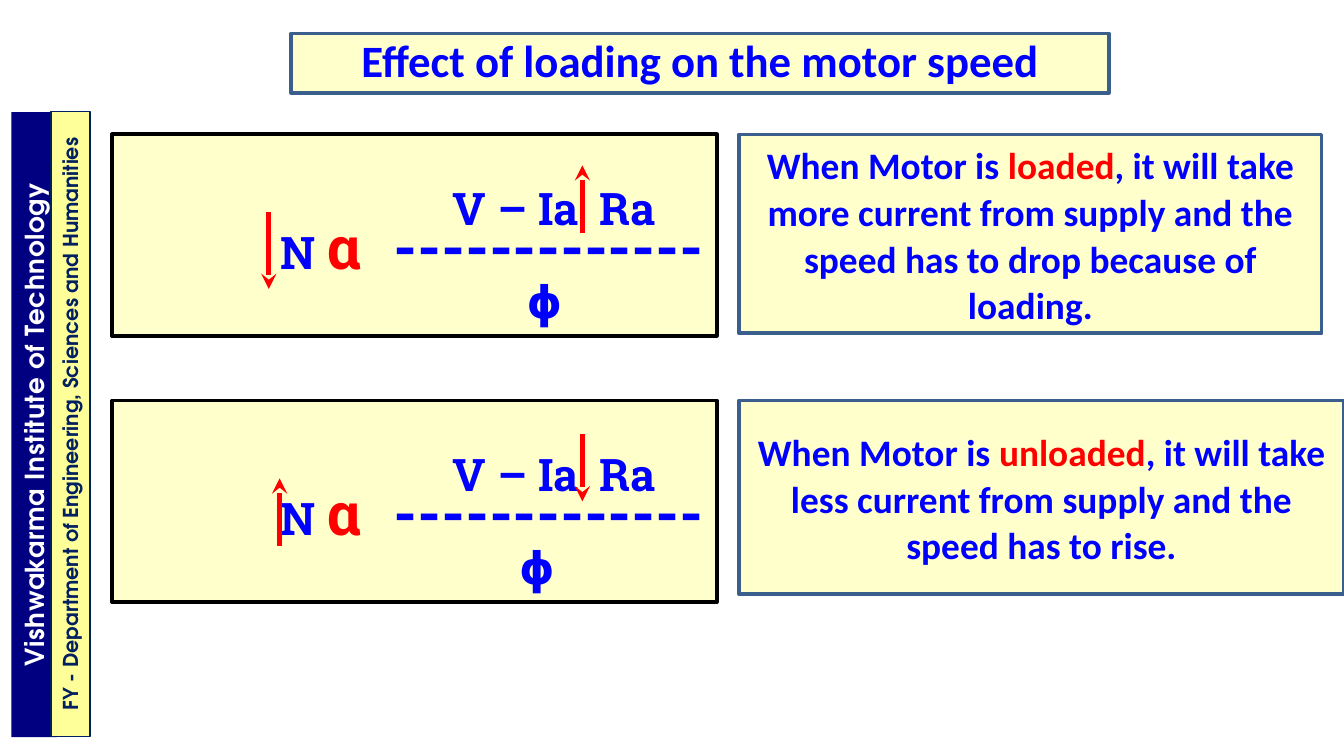
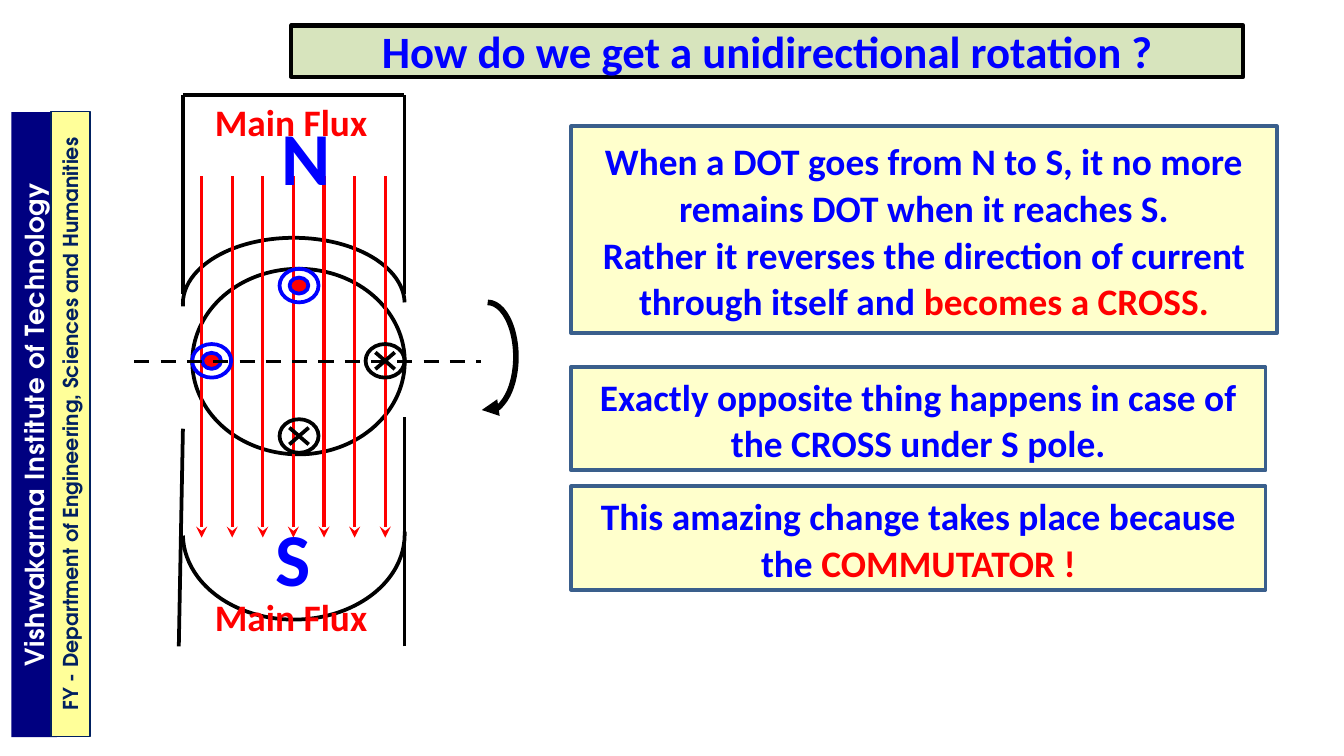
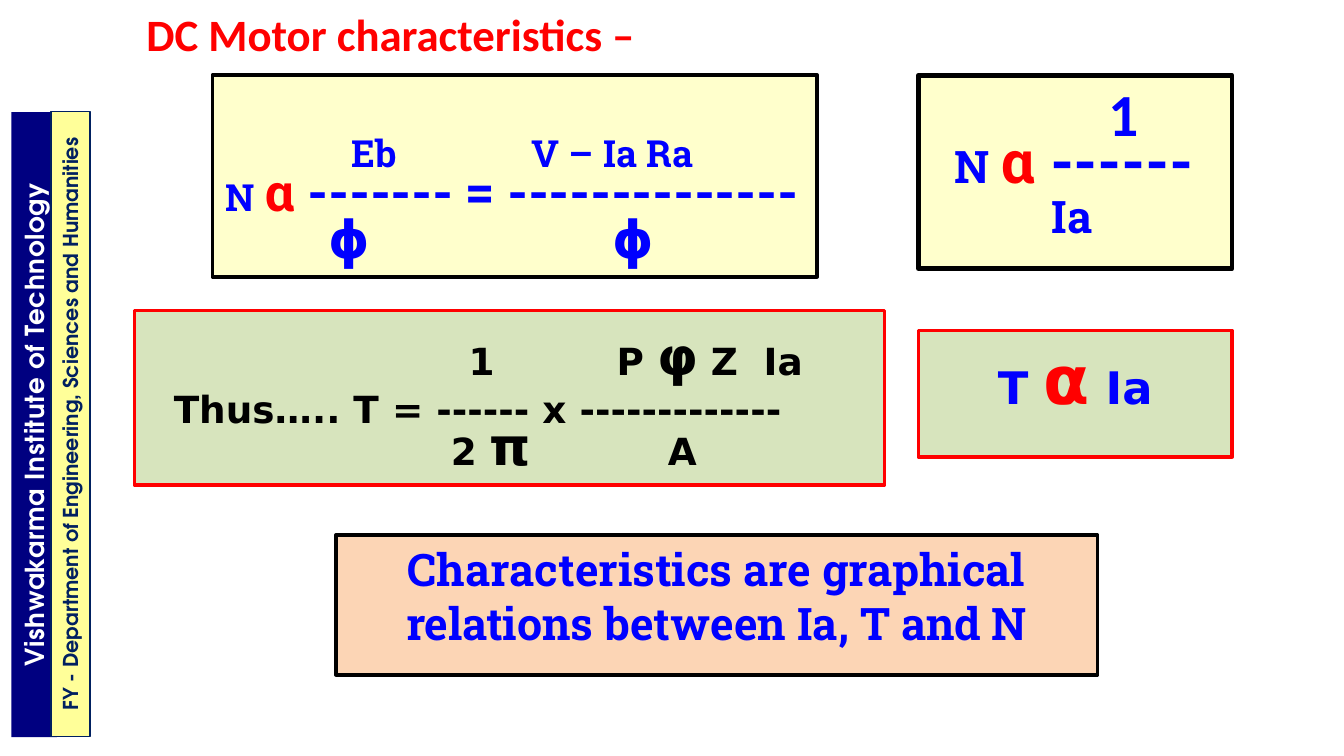
"""Build three slides on DC motor speed, commutation and characteristics."""
from lxml import etree
from pptx import Presentation
from pptx.dml.color import RGBColor
from pptx.enum import dml, shapes, text
from pptx.oxml import ns
from pptx.util import Pt

COLORS = {
    "blue": "0000FF", "red": "FF0000", "black": "000000", "white": "FFFFFF",
    "cream": "FFFFCC", "green": "D7E4BD", "peach": "FCD5B5", "steel": "3A5F8C",
    "navy": "000080", "ink": "002060", "yellow": "FFFF99",
}
SANS, SLAB, SYMBOL, BAND = "Calibri", "Roboto Slab", "DejaVu Sans", "TeX Gyre Adventor"
LEFT, CENTER = text.PP_ALIGN.LEFT, text.PP_ALIGN.CENTER
TOP, MIDDLE = text.MSO_ANCHOR.TOP, text.MSO_ANCHOR.MIDDLE
KIND = shapes.MSO_SHAPE


def run(words, size=20, color="blue", font=SANS):
    return words, size, color, font


def line(*runs, tabs=()):
    return runs, tabs


BANDS = [
    dict(words="Vishwakarma Institute of Technology", size=14, color="white",
         box=(6.1, 60.1, 24.5, 334.8), fill="navy", border=None, tracking=35),
    dict(words="FY - Department of Engineering, Sciences and Humanities", size=11,
         color="ink", box=(27.4, 59.8, 20.9, 334.8), fill="yellow",
         border=("ink", 0.75), tracking=0),
]

LOADING_TITLE = "Effect of loading on the motor speed"
LOADING_CASES = [
    dict(top=72, state="loaded", note_size=(312, 106.6),
         effect=", it will take more current from supply and the speed has to drop "
                "because of loading.",
         flux_tab=215, arrows=[(312, 52.6, 16.6), (144, 41.8, 82.8)]),
    dict(top=214.6, state="unloaded", note_size=(324, 103.7),
         effect=", it will take less current from supply and the speed has to rise.",
         flux_tab=211, arrows=[(312, 18, 54), (149.8, 77.7, 41.7)]),
]

ROTATION_TITLE = "How do we get a unidirectional rotation ?"
ROTATION_NOTES = [
    ((306, 67.7, 378, 110.9), [
        line(run("When a DOT goes from N to S, it no more remains DOT when it reaches S.")),
        line(run("Rather it reverses the direction of current through itself and "),
             run("becomes a CROSS.", color="red"))]),
    ((306, 196.6, 372, 55.4), [
        line(run("Exactly opposite thing happens in case of the CROSS under S pole."))]),
    ((306, 260.6, 372, 55.4), [
        line(run("This amazing change takes place because the "),
             run("COMMUTATOR !", color="red"))]),
]
POLE_EDGES = [
    (98, 51, 216.7, 51), (98, 51, 98, 157.7), (216.7, 51, 216.7, 157.7),
    (216.7, 346.3, 216.7, 223.2), (95.8, 346.3, 98, 229.7),
]
POLE_FACES = [((98, 127.4, 118.8, 70.6), 0), ((98, 240.5, 118.8, 91.4), 180)]
ARMATURE = (103, 144, 113.8, 99.4)
FLUX_COUNT, FLUX_LEFT, FLUX_STEP, FLUX_TOP, FLUX_BOTTOM = 7, 108, 16.4, 94.5, 288
POLE_LETTERS = [("N", (144, 84, 36, 28)), ("S", (139, 298.6, 36, 28))]
FLUX_LABELS = [(108, 49.7, 110, 31.7), (108, 314.6, 104.4, 31.7)]
DOTS = [(160.2, 153), (113.4, 193.3)]
CROSSES = [(160.2, 233.6), (206.3, 193.3)]

CHARACTERISTICS_TITLE = "DC Motor characteristics –"
RELATIONS = [
    dict(box=(113.8, 40.3, 324, 108), fill="cream", border=("black", 2),
         spacing=25, top_inset=28.6, lines=[
             line(run("\tEb\tV – Ia Ra", font=SLAB), tabs=(67.6, 164)),
             line(run("N ", font=SLAB), run("α", 28, "red", SLAB),
                  run(" ------- = --------------", 28, font=SLAB)),
             line(run("\tϕ\tϕ", 28, font=SYMBOL), tabs=(55, 207.4))]),
    dict(box=(72, 166.3, 401.8, 93.6), fill="green", border=("red", 2),
         spacing=24, top_inset=16.6, lines=[
             line(run("\t1\tP ", 20, "black", SYMBOL), run("φ", 28, "black", SYMBOL),
                  run(" Z\tIa", 20, "black", SYMBOL), tabs=(172, 251.3, 330)),
             line(run("\tThus….. T = ------ x -------------", 20, "black", SYMBOL),
                  tabs=(14,)),
             line(run("\t2 ", 20, "black", SYMBOL), run("π", 28, "black", SYMBOL),
                  run("\tA", 20, "black", SYMBOL), tabs=(162.4, 278.7))]),
    dict(box=(492, 40.3, 168, 103.7), fill="cream", border=("black", 2.5),
         spacing=25, anchor=MIDDLE, lines=[
             line(run("\t1", 32), tabs=(95,)),
             line(run("\tN ", 24, font=SLAB), run("α", 32, "red", SLAB),
                  run(" ------", 32, font=SLAB), tabs=(12,)),
             line(run("\tIa", 24, font=SLAB), tabs=(64.4,))]),
    dict(box=(492, 177.1, 168, 67.7), fill="green", border=("red", 2), align=CENTER,
         lines=[line(run("T ", 24, font=SYMBOL), run("α", 36, "red", SYMBOL),
                     run(" Ia", 24, font=SYMBOL))]),
    dict(box=(180, 286.6, 408, 74.9), fill="peach", border=("black", 2), align=CENTER,
         lines=[line(run("Characteristics are graphical relations between Ia, T and N",
                         24, font=SLAB))]),
]


def rgb(name):
    return RGBColor.from_string(COLORS[name])


def points(values):
    return [Pt(value) for value in values]


def paint(shape, fill=None, border=None):
    if fill:
        shape.fill.solid()
        shape.fill.fore_color.rgb = rgb(fill)
    else:
        shape.fill.background()
    if border:
        shape.line.color.rgb = rgb(border[0])
        shape.line.width = Pt(border[1])
    else:
        shape.line.fill.background()


def write(shape, lines, align=LEFT, anchor=TOP, spacing=None, left_inset=7.2, top_inset=3.6):
    frame = shape.text_frame
    frame.word_wrap = True
    frame.auto_size = text.MSO_AUTO_SIZE.NONE
    frame.vertical_anchor = anchor
    frame.margin_left, frame.margin_right = Pt(left_inset), Pt(7.2)
    frame.margin_top, frame.margin_bottom = Pt(top_inset), Pt(3.6)
    for index, (runs, tabs) in enumerate(lines):
        paragraph = frame.add_paragraph() if index else frame.paragraphs[0]
        paragraph.alignment = align
        if spacing:
            paragraph.line_spacing = Pt(spacing)
        if tabs:
            stops = etree.SubElement(paragraph._p.get_or_add_pPr(), ns.qn("a:tabLst"))
            for stop in tabs:
                etree.SubElement(stops, ns.qn("a:tab"), pos=str(Pt(stop)), algn="l")
        for words, size, color, font in runs:
            piece = paragraph.add_run()
            piece.text = words
            piece.font.size = Pt(size)
            piece.font.bold = True
            piece.font.name = font
            piece.font.color.rgb = rgb(color)


def add_figure(slide, kind, box, fill=None, border=("black", 2)):
    figure = slide.shapes.add_shape(kind, *points(box))
    figure.shadow.inherit = False
    paint(figure, fill, border)
    return figure


def add_panel(slide, box, fill, border, lines, **layout):
    write(add_figure(slide, KIND.RECTANGLE, box, fill, border), lines, **layout)


def add_note(slide, box, lines):
    add_panel(slide, box, "cream", ("steel", 2), lines,
              align=CENTER, anchor=MIDDLE, spacing=25)


def add_label(slide, box, words, **layout):
    write(slide.shapes.add_textbox(*points(box)), [line(words)], **layout)


def add_head(shape, head):
    outline = shape._element.spPr.find(ns.qn("a:ln"))
    etree.SubElement(outline, ns.qn("a:tailEnd"), type=head)


def add_line(slide, ends, color="black", width=2, head=None, dashed=False):
    stroke = slide.shapes.add_connector(shapes.MSO_CONNECTOR.STRAIGHT, *points(ends))
    stroke.line.color.rgb = rgb(color)
    stroke.line.width = Pt(width)
    if dashed:
        stroke.line.dash_style = dml.MSO_LINE.DASH
    if head:
        add_head(stroke, head)
    etree.SubElement(stroke._element.spPr, ns.qn("a:effectLst"))


def add_arc(slide, box, start, end, width=2):
    arc = add_figure(slide, KIND.ARC, box, border=("black", width))
    for index, degrees in enumerate((start, end)):
        arc.adjustments[index] = degrees * 0.6
    return arc


def add_ellipse(slide, center, size, fill=None, color="black"):
    (x, y), (width, height) = center, size
    add_figure(slide, KIND.OVAL, (x - width / 2, y - height / 2, width, height),
               fill, (color, 2))


def add_band(slide, band):
    left, top, width, height = band["box"]
    flat = (left + (width - height) / 2, top + (height - width) / 2, height, width)
    strip = add_figure(slide, KIND.RECTANGLE, flat, band["fill"], band["border"])
    strip.rotation = 270
    write(strip, [line(run(band["words"], band["size"], band["color"], BAND))], align=CENTER)
    strip.text_frame.paragraphs[0].runs[0].font._element.set("spc", str(band["tracking"]))


def start_slide(deck, title, box, fill=None, border=None, color="blue", **layout):
    slide = deck.slides.add_slide(deck.slide_layouts[5])
    heading = slide.shapes.title
    heading.left, heading.top, heading.width, heading.height = points(box)
    paint(heading, fill, border)
    write(heading, [line(run(title, 24, color))], **layout)
    for band in BANDS:
        add_band(slide, band)
    return slide


def build_loading(deck):
    slide = start_slide(deck, LOADING_TITLE, (156, 18, 438, 31.7), "cream", ("steel", 2),
                        align=CENTER, anchor=MIDDLE, spacing=25)
    for case in LOADING_CASES:
        top = case["top"]
        formula = [
            line(run("\tV – Ia\tRa", 24, font=SLAB), tabs=(175.5, 254.2)),
            line(run("\tN ", 24, font=SLAB), run("α", 32, "red", SLAB),
                 run("\t-------------", 32, font=SLAB), tabs=(83.3, 144)),
            line(run("\tϕ", 24, font=SYMBOL), tabs=(case["flux_tab"],)),
        ]
        add_panel(slide, (60, top, 324, 108), "cream", ("black", 2), formula,
                  spacing=25, top_inset=28.6)
        for x, start, end in case["arrows"]:
            add_line(slide, (x, top + start, x, top + end), "red", 2.75, "stealth")
        add_note(slide, (396, top, *case["note_size"]), [
            line(run("When Motor is "), run(case["state"], color="red"),
                 run(case["effect"]))])


def build_rotation(deck):
    slide = start_slide(deck, ROTATION_TITLE, (156, 13.7, 510, 27.4), "green",
                        ("black", 2.25), align=CENTER, anchor=MIDDLE, spacing=28)
    for box, lines in ROTATION_NOTES:
        add_note(slide, box, lines)
    add_head(add_arc(slide, (246.2, 162, 30.2, 58.3), 270, 96.35, 3), "triangle")
    for edge in POLE_EDGES:
        add_line(slide, edge)
    for box, turn in POLE_FACES:
        add_arc(slide, box, 178.58, 359.33).rotation = turn
    add_figure(slide, KIND.OVAL, ARMATURE)
    for index in range(FLUX_COUNT):
        x = FLUX_LEFT + index * FLUX_STEP
        add_line(slide, (x, FLUX_TOP, x, FLUX_BOTTOM), "red", 1.75, "stealth")
    for letter, box in POLE_LETTERS:
        add_label(slide, box, run(letter, 40), align=CENTER, spacing=20)
    for box in FLUX_LABELS:
        add_label(slide, box, run("Main Flux", color="red"))
    for center in DOTS:
        add_ellipse(slide, center, (20.9, 18), color="blue")
        add_ellipse(slide, center, (10.1, 8.6), "red", "blue")
    for x, y in CROSSES:
        add_ellipse(slide, (x, y), (20.9, 18))
        for rise in (-4.5, 4.5):
            add_line(slide, (x - 5.2, y + rise, x + 5.2, y - rise))
    add_line(slide, (72, 193.7, 257.8, 193.7), dashed=True)


def build_characteristics(deck):
    slide = start_slide(deck, CHARACTERISTICS_TITLE, (66, 8.6, 288, 27.4), color="red",
                        spacing=20, left_inset=12.4)
    for relation in RELATIONS:
        add_panel(slide, **relation)


def main():
    deck = Presentation()
    deck.slide_width, deck.slide_height = Pt(720), Pt(405)
    build_loading(deck)
    build_rotation(deck)
    build_characteristics(deck)
    deck.save("out.pptx")


if __name__ == "__main__":
    main()
